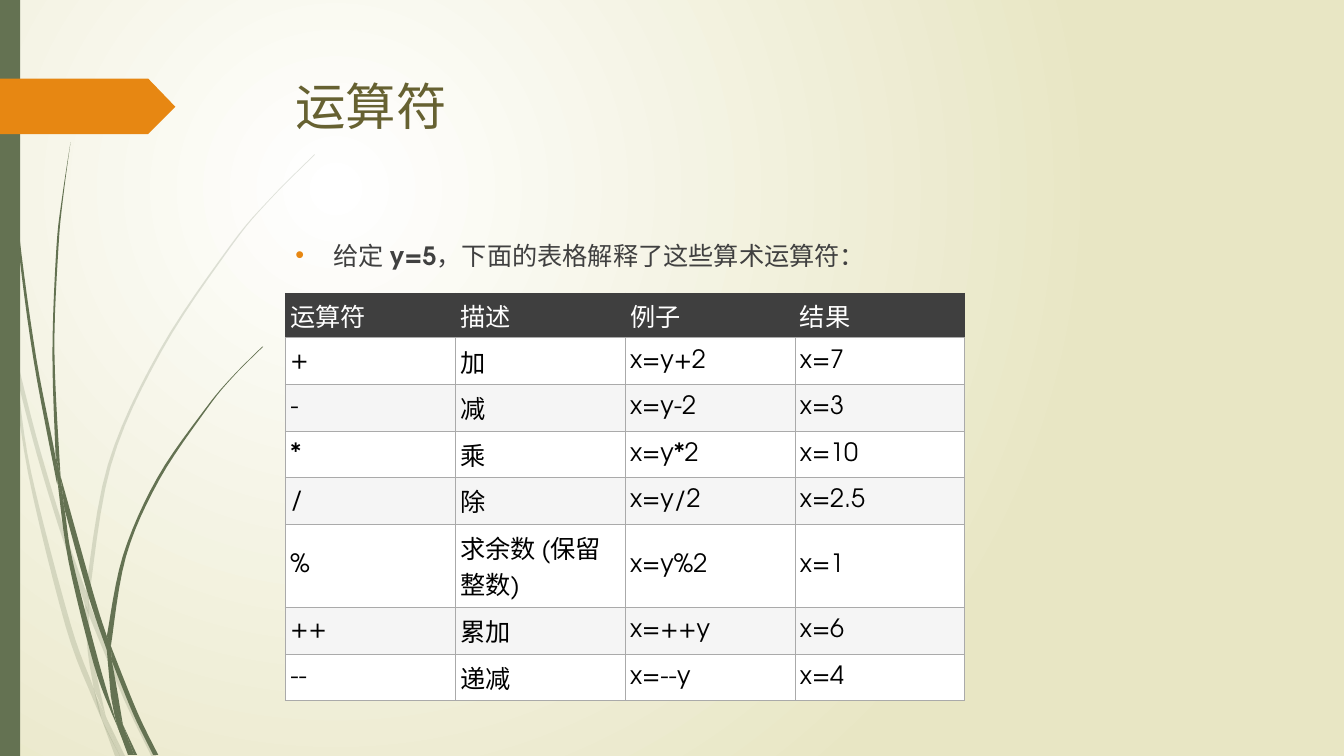
from dataclasses import dataclass

from pptx import Presentation
from pptx.dml.color import RGBColor
from pptx.enum.shapes import MSO_SHAPE
from pptx.enum.text import MSO_ANCHOR, MSO_AUTO_SIZE, PP_ALIGN
from pptx.oxml.ns import qn
from pptx.oxml.xmlchemy import OxmlElement
from pptx.util import Inches, Pt

RECTANGLE = MSO_SHAPE.RECTANGLE
TOP, MIDDLE = MSO_ANCHOR.TOP, MSO_ANCHOR.MIDDLE
NO_FIT = MSO_AUTO_SIZE.NONE
LEFT = PP_ALIGN.LEFT


@dataclass(frozen=True)
class Theme:
    font: str = "TeX Gyre Adventor"
    title_size: int = 36
    text_size: int = 18
    paper: str = "FFFFFF"
    sand: str = "E8E6C4"
    green: str = "647252"
    orange: str = "E78712"
    olive: str = "666131"
    text: str = "404040"
    header: str = "3F3F3F"
    black: str = "000000"
    stripe: str = "F5F5F5"
    border: str = "AAAAAA"


THEME = Theme()

# Each blade is a pair of edges: down one side, back up the other
FAINT_BLADES = [
    ([(0, 2.82), (0.09, 3.22), (0.11, 3.5)], [(0.1, 3.44), (0, 2.99)]),
    ([(0.14, 3.45), (0.36, 4.33), (0.62, 5.2), (0.85, 5.86)],
     [(0.84, 5.99), (0.58, 5.22), (0.36, 4.49), (0.17, 3.76)]),
    ([(0.88, 5.96), (0.92, 6.07), (1.27, 6.92), (1.55, 7.5)], [(1.5, 7.5), (1.23, 6.94), (0.88, 6.1)]),
    ([(1.05, 7.11), (1.24, 7.5)], [(1.19, 7.5)]),
    ([(0.11, 3.5), (0.17, 3.76), (0.31, 4.69), (0.7, 6.19), (0.93, 6.83), (1.01, 7.14)],
     [(0.92, 6.93), (0.65, 6.21), (0.28, 4.7), (0.11, 3.5)]),
    ([(0.84, 5.99), (0.88, 6.1), (0.91, 6.46), (1.05, 7.11)], [(0.93, 6.83), (0.87, 6.46), (0.84, 5.99)]),
    ([(3.12, 1.53), (2.68, 1.97), (2.28, 2.44), (1.58, 3.48), (1.07, 4.61), (0.85, 5.86)],
     [(0.88, 5.96), (1.1, 4.62), (1.6, 3.49), (2.29, 2.45), (2.68, 1.98), (3.12, 1.54)]),
    ([(1.01, 7.14), (1.14, 7.5)], [(1.19, 7.5)]),
    ([(0.85, 5.86), (0.88, 5.96), (0.88, 6.1)], [(0.84, 5.99)]),
    ([(0.93, 6.83), (1.01, 7.14), (1.19, 7.5)], [(1.05, 7.11), (0.96, 6.92)]),
]
GREEN_BLADES = [
    ([(0.03, 0), (0.07, 1.1), (0.17, 2.33), (0.33, 3.55), (0.56, 4.77)],
     [(0.57, 4.81), (0.55, 4.53), (0.36, 3.55), (0.19, 2.32), (0.08, 1.09), (0.04, 0)]),
    ([(0.6, 4.72), (0.93, 5.9), (1.06, 6.31)], [(1.06, 6.45), (0.88, 5.92), (0.64, 5.05)]),
    ([(1.1, 6.41), (1.36, 7.06), (1.57, 7.49)], [(1.52, 7.49), (1.32, 7.08), (1.11, 6.56)]),
    ([(0.57, 4.77), (0.64, 5.05), (0.72, 5.56), (0.98, 6.57), (1.17, 7.22)],
     [(1.11, 7.08), (0.93, 6.59), (0.68, 5.57), (0.57, 4.77)]),
    ([(0.7, 1.41), (0.62, 1.93), (0.56, 2.45), (0.52, 3.49), (0.55, 4.49)],
     [(0.6, 4.72), (0.54, 3.49), (0.58, 2.45), (0.63, 1.93), (0.7, 1.41)]),
    ([(1.22, 7.19), (1.36, 7.49)], [(1.33, 7.49)]),
    ([(0.55, 4.49), (0.57, 4.77)], [(0.64, 5.05), (0.6, 4.72)]),
    ([(2.6, 3.44), (2.31, 3.73), (2.04, 4.05), (1.56, 4.74), (1.22, 5.51), (1.06, 6.31)],
     [(1.1, 6.41), (1.25, 5.52), (1.58, 4.76), (2.05, 4.06), (2.31, 3.74), (2.61, 3.44)]),
    ([(1.17, 7.22), (1.27, 7.49)], [(1.31, 7.49)]),
    ([(1.06, 6.45), (1.11, 6.56), (1.22, 7.19)], [(1.16, 7.06), (1.1, 6.91)]),
    ([(1.06, 6.31), (1.1, 6.41), (1.11, 6.56)], [(1.06, 6.45)]),
    ([(1.1, 6.91), (1.17, 7.22), (1.3, 7.49)], [(1.33, 7.49), (1.22, 7.19)]),
]
ARROW = [(0, 0.78), (1.47, 0.78), (1.74, 1.06), (1.47, 1.33), (0, 1.33)]

OPERATORS = [
    ("运算符", "描述", "例子", "结果"),
    ("+", "加", "x=y+2", "x=7"),
    ("-", "减", "x=y-2", "x=3"),
    ("*", "乘", "x=y*2", "x=10"),
    ("/", "除", "x=y/2", "x=2.5"),
    ("%", "求余数 (保留整数)", "x=y%2", "x=1"),
    ("++", "累加", "x=++y", "x=6"),
    ("--", "递减", "x=--y", "x=4"),
]
ROW_HEIGHTS = [0.43, 0.46, 0.46, 0.46, 0.46, 0.82, 0.46, 0.46]


def add_node(parent, tag, **attributes):
    node = OxmlElement(tag)
    for name, value in attributes.items():
        node.set(name, str(value))
    parent.append(node)
    return node


def style_span(span, color, size=THEME.text_size, bold=False):
    span.font.name = THEME.font
    span.font.size = Pt(size)
    span.font.bold = bold
    span.font.color.rgb = RGBColor.from_string(color)


def paint(shape, color, opacity=100):
    shape.shadow.inherit = False
    shape.fill.solid()
    shape.fill.fore_color.rgb = RGBColor.from_string(color)
    shape.line.fill.background()
    if opacity < 100:
        color_node = next(shape._element.spPr.iter(qn("a:srgbClr")))
        add_node(color_node, "a:alpha", val=opacity * 1000)


def smooth(knots, steps=6):
    """Points of a Catmull-Rom curve through the knots."""
    points = [knots[0]]
    padded = [knots[0], *knots, knots[-1]]
    for a, b, c, d in zip(padded, padded[1:], padded[2:], padded[3:]):
        for step in range(1, steps + 1):
            t = step / steps
            points.append(tuple(
                q + t * (r - p) / 2 + t * t * (2 * p - 5 * q + 4 * r - s) / 2
                + t ** 3 * (3 * q - p - 3 * r + s) / 2
                for p, q, r, s in zip(a, b, c, d)))
    return points


def draw_outline(page, points, color, opacity=100):
    start, *rest = [(Inches(x), Inches(y)) for x, y in points]
    builder = page.shapes.build_freeform(*start)
    builder.add_line_segments(rest, close=True)
    paint(builder.convert_to_shape(), color, opacity)


def draw_background(page):
    fill = page.background.fill
    fill.gradient()
    for stop, color, position in zip(fill.gradient_stops, (THEME.paper, THEME.sand), (0, 1)):
        stop.color.rgb = RGBColor.from_string(color)
        stop.position = position
    gradient = next(page._element.iter(qn("a:gradFill")))
    for linear in gradient.findall(qn("a:lin")):
        gradient.remove(linear)
    circle = add_node(gradient, "a:path", path="circle")
    add_node(circle, "a:fillToRect", l=50000, t=50000, r=100000, b=100000)


def draw_decoration(page, height):
    for blades, opacity in ((FAINT_BLADES, 20), (GREEN_BLADES, 100)):
        for down, back in blades:
            draw_outline(page, smooth(down) + smooth(back), THEME.green, opacity)
    strip = page.shapes.add_shape(RECTANGLE, 0, 0, Inches(0.2), Inches(height))
    paint(strip, THEME.green)
    draw_outline(page, ARROW, THEME.orange)


def place_text(shape, box):
    shape.left, shape.top, shape.width, shape.height = map(Inches, box)
    frame = shape.text_frame
    frame.word_wrap = True
    frame.auto_size = NO_FIT
    frame.vertical_anchor = TOP
    para = frame.paragraphs[0]
    para.alignment = LEFT
    return para


def fill_title(page, box):
    para = place_text(page.shapes.title, box)
    para.text = "运算符"
    style_span(para.runs[0], THEME.olive, THEME.title_size)


def fill_body(page, box):
    para = place_text(page.placeholders[1], box)
    para.space_before = Pt(10)
    for words, bold in (("给定 ", False), ("y=5", True), ("，下面的表格解释了这些算术运算符：", False)):
        span = para.add_run()
        span.text = words
        style_span(span, THEME.text, bold=bold)
    properties = para._p.get_or_add_pPr()
    properties.set("marL", str(Inches(0.38)))
    properties.set("indent", str(-Inches(0.38)))
    add_node(add_node(properties, "a:buClr"), "a:srgbClr", val=THEME.orange)
    add_node(properties, "a:buFont", typeface="Arial")
    add_node(properties, "a:buChar", char="•")


def style_cell(cell, fill, ink, edges, padding):
    cell.vertical_anchor = MIDDLE
    cell.margin_left, cell.margin_right = Inches(0.05), Inches(0.12)
    cell.margin_top = cell.margin_bottom = Inches(padding)
    properties = cell._tc.get_or_add_tcPr()
    for side, color in zip("LRTB", edges):
        line = add_node(properties, f"a:ln{side}", w=Pt(0.6))
        add_node(add_node(line, "a:solidFill"), "a:srgbClr", val=color)
    cell.fill.solid()
    cell.fill.fore_color.rgb = RGBColor.from_string(fill)
    style_span(cell.text_frame.paragraphs[0].runs[0], ink)


def draw_table(page, box):
    table = page.shapes.add_table(len(OPERATORS), len(OPERATORS[0]), *map(Inches, box)).table
    for row, height in zip(table.rows, ROW_HEIGHTS):
        row.height = Inches(height)
    for row_index, values in enumerate(OPERATORS):
        for column_index, value in enumerate(values):
            cell = table.cell(row_index, column_index)
            cell.text = value
            if row_index == 0:
                style_cell(cell, THEME.header, THEME.paper, [THEME.header] * 3 + [THEME.border], 0.04)
            else:
                fill = THEME.paper if row_index % 2 else THEME.stripe
                style_cell(cell, fill, THEME.black, [THEME.border] * 4, 0.05)


def main():
    deck = Presentation()
    deck.slide_width, deck.slide_height = Inches(13.33), Inches(7.5)
    page = deck.slides.add_slide(deck.slide_layouts[1])
    draw_background(page)
    draw_decoration(page, 7.5)
    fill_title(page, (2.83, 0.69, 9.75, 1.4))
    fill_body(page, (2.83, 2.33, 9.75, 4.13))
    draw_table(page, (2.83, 2.91, 6.74, sum(ROW_HEIGHTS)))
    deck.save("out.pptx")


if __name__ == "__main__":
    main()
